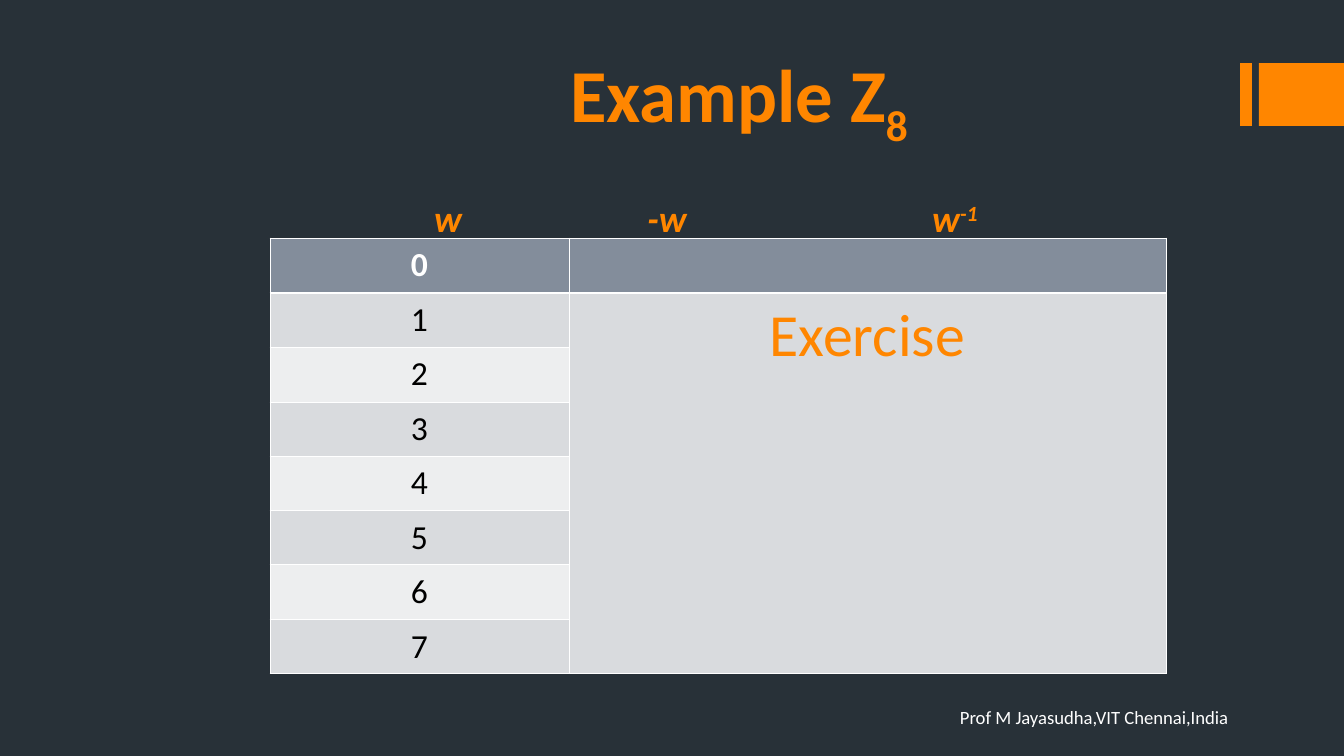
from lxml import etree
from pptx import Presentation
from pptx.dml.color import RGBColor
from pptx.enum.shapes import MSO_SHAPE
from pptx.enum.text import PP_ALIGN
from pptx.oxml.ns import qn
from pptx.util import Emu, Pt

EMU_PER_PX = 914400 / 134.4
ORANGE, WHITE, BLACK = "FF8600", "FFFFFF", "000000"
HEADER, BAND_DARK, BAND_LIGHT = "838D9B", "D9DBDE", "EDEEEF"


def px(n):
    return Emu(round(n * EMU_PER_PX))


def rgb(color):
    return RGBColor.from_string(color)


def add_run(p, text, size=18, color=BLACK, bold=False, italic=False, baseline=0):
    """Add a run; baseline is a percentage, negative for a subscript."""
    r = p.add_run()
    r.text = text
    f = r.font
    f.name, f.size, f.bold, f.italic = "Calibri", Pt(size), bold, italic
    f.color.rgb = rgb(color)
    if baseline:
        r._r.get_or_add_rPr().set("baseline", str(baseline * 1000))


def set_center_tabs(p, stops):
    tabs = etree.SubElement(p._p.get_or_add_pPr(), qn("a:tabLst"))
    for stop in stops:
        etree.SubElement(tabs, qn("a:tab"), pos=str(px(stop)), algn="ctr")


def set_border(cell, side, width):
    ln = etree.SubElement(cell._tc.get_or_add_tcPr(), qn(f"a:ln{side}"),
                          w=str(Pt(width)))
    fill = etree.SubElement(ln, qn("a:solidFill"))
    etree.SubElement(fill, qn("a:srgbClr"), val=WHITE)


class SlideBuilder:
    def __init__(self, prs, background):
        self.s = prs.slides.add_slide(prs.slide_layouts[6])
        self.s.background.fill.solid()
        self.s.background.fill.fore_color.rgb = rgb(background)

    def bar(self, x, y, w, h):
        sp = self.s.shapes.add_shape(MSO_SHAPE.RECTANGLE, px(x), px(y), px(w), px(h))
        sp.shadow.inherit = False
        sp.fill.solid()
        sp.fill.fore_color.rgb = rgb(ORANGE)
        sp.line.fill.background()

    def text(self, x, y, w, h, runs, align=PP_ALIGN.LEFT, tabs=(), inset=(13, 7)):
        """Add a one-paragraph box from (text, format) pairs."""
        tf = self.s.shapes.add_textbox(px(x), px(y), px(w), px(h)).text_frame
        tf.word_wrap = True
        tf.margin_left = tf.margin_right = px(inset[0])
        tf.margin_top = px(inset[1])
        p = tf.paragraphs[0]
        if tabs:
            set_center_tabs(p, tabs)
        p.alignment = align
        for text, fmt in runs:
            add_run(p, text, **fmt)

    def table(self, x, y, widths, heights):
        frame = self.s.shapes.add_table(len(heights), len(widths), px(x), px(y),
                                        px(sum(widths)), px(sum(heights)))
        table = frame.table
        for column, w in zip(table.columns, widths):
            column.width = px(w)
        for i, (row, h) in enumerate(zip(table.rows, heights)):
            row.height = px(h)
            for cell in row.cells:
                self.style_cell(cell, i)
        return table

    def style_cell(self, cell, row):
        cell.margin_top, cell.margin_bottom = px(7), px(5)
        heavy = {(0, "B"), (1, "T")}
        for side in "LRTB":
            set_border(cell, side, 1.47 if (row, side) in heavy else 0.45)
        color = HEADER if row == 0 else BAND_DARK if row % 2 else BAND_LIGHT
        cell.fill.solid()
        cell.fill.fore_color.rgb = rgb(color)

    def cell_text(self, cell, text, **fmt):
        p = cell.text_frame.paragraphs[0]
        p.alignment = PP_ALIGN.CENTER
        add_run(p, text, **fmt)


def main():
    prs = Presentation()
    prs.slide_width, prs.slide_height = px(1344), px(756)
    b = SlideBuilder(prs, "283138")

    for x, w in ((1240, 12), (1259, 85)):
        b.bar(x, 63, w, 63)

    title = dict(size=40, color=ORANGE, bold=True)
    b.text(179, 41, 1120, 130,
           [("Example Z", title), ("8", dict(title, baseline=-25))],
           align=PP_ALIGN.CENTER)

    label = dict(size=20, color=ORANGE, bold=True, italic=True)
    b.text(280, 188, 1052, 50,
           [("\tw\t-w\tw", label), ("-1", dict(label, baseline=30))],
           tabs=(155, 374, 662))

    table = b.table(270, 238, widths=(299, 597), heights=(55, 54) * 4)
    for i in range(8):
        b.cell_text(table.cell(i, 0), str(i), bold=i == 0,
                    color=BLACK if i else WHITE)
    exercise = table.cell(1, 1)
    exercise.merge(table.cell(7, 1))
    b.cell_text(exercise, "Exercise", size=32, color=ORANGE)

    b.text(947, 706, 331, 34,
           [("Prof M Jayasudha,VIT Chennai,India", dict(size=10, color=WHITE))],
           inset=(13, 0))
    prs.save("out.pptx")


if __name__ == "__main__":
    main()
